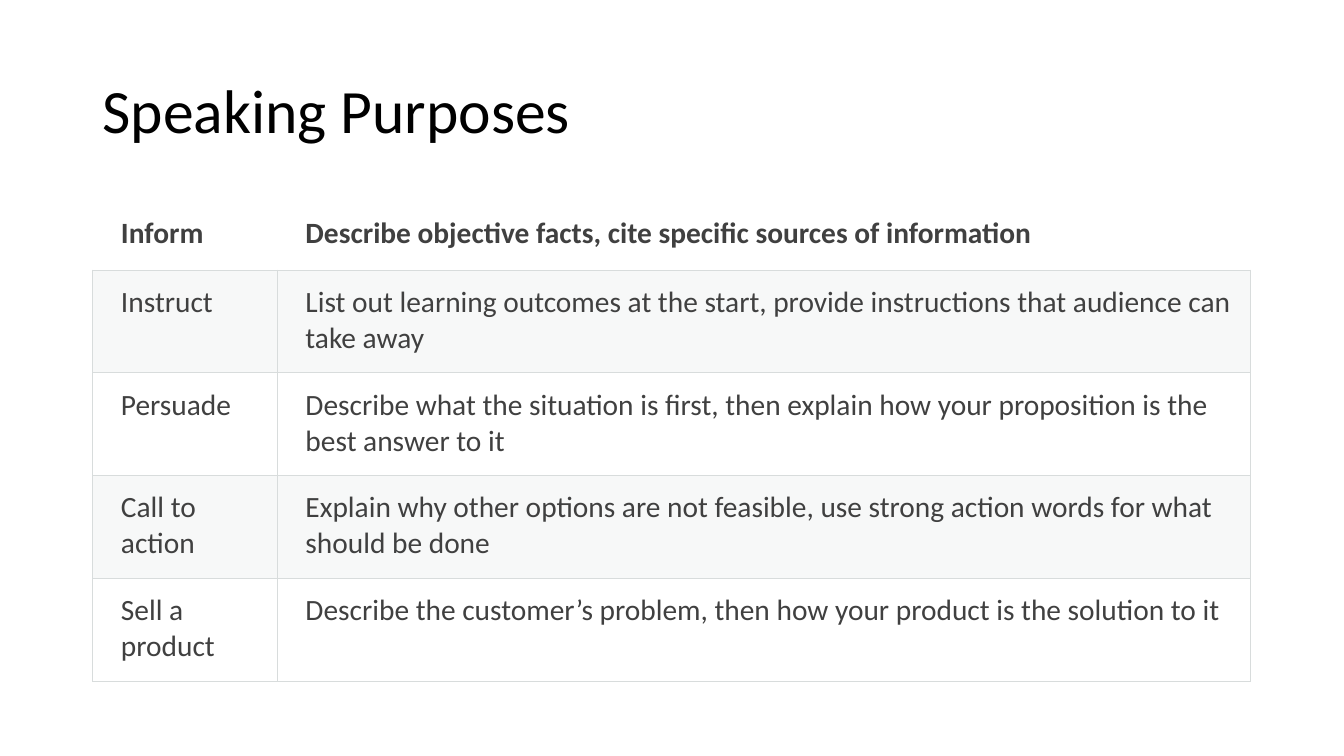
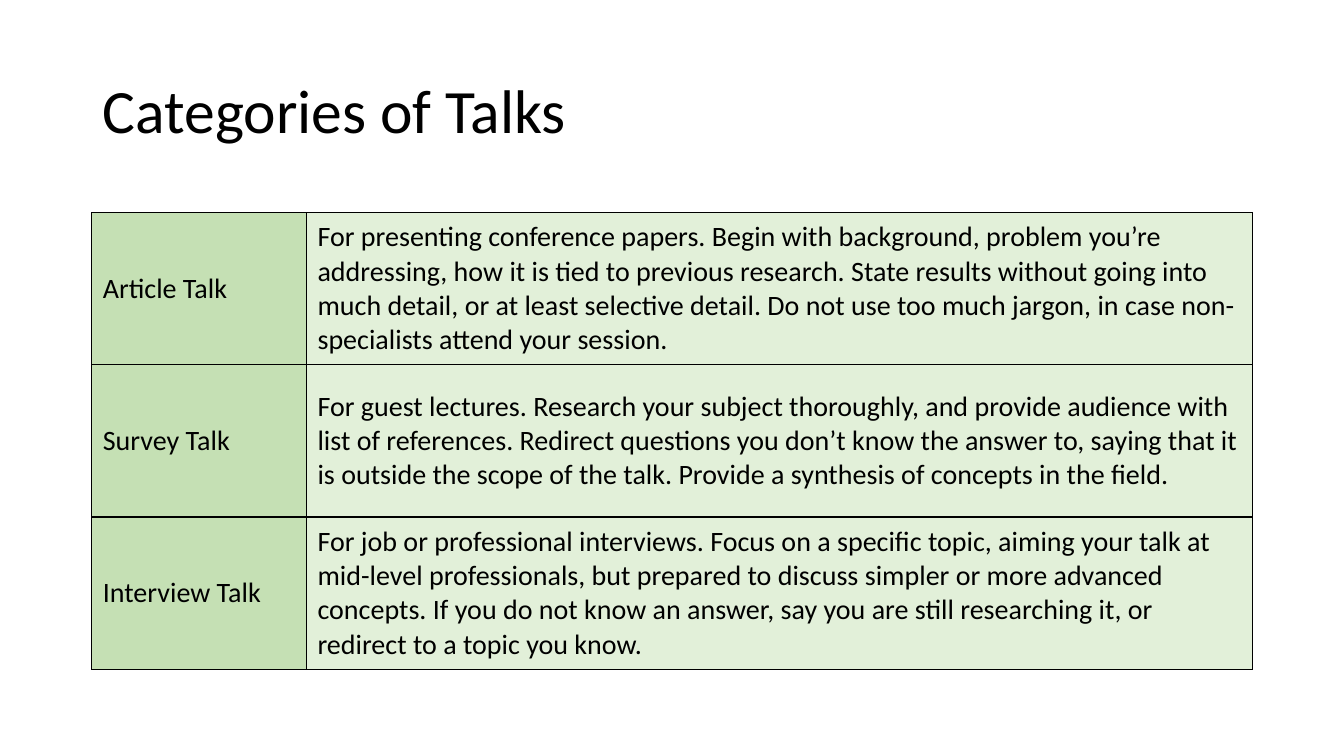
from dataclasses import dataclass

from lxml.etree import SubElement
from pptx import Presentation
from pptx.dml.color import RGBColor
from pptx.enum.text import MSO_ANCHOR
from pptx.oxml.ns import qn
from pptx.util import Inches, Pt


@dataclass(frozen=True)
class Theme:
    font: str = "Calibri"
    ink: str = "000000"
    gray_text: str = "404040"
    gray_line: str = "D8DCDC"
    gray_band: str = "D8DEDC"
    band_opacity: int = 20
    green_label: str = "C5E0B4"
    green_body: str = "E2F0D9"
    title_size: int = 44
    purpose_size: int = 21
    category_size: int = 20


THEME = Theme()


def add_titled_table(title, rows, left, top, widths, heights):
    """Add a slide with the shared title style and an unstyled table."""
    slide = deck.slides.add_slide(deck.slide_layouts[6])
    heading = slide.shapes.add_textbox(
        Inches(0.92), Inches(0.4), Inches(11.5), Inches(1.45)).text_frame
    heading.word_wrap = True
    heading.vertical_anchor = MSO_ANCHOR.MIDDLE
    heading.text = title
    heading.paragraphs[0].line_spacing = 0.9
    font = heading.paragraphs[0].runs[0].font
    font.name, font.size = THEME.font, Pt(THEME.title_size)
    font.color.rgb = RGBColor.from_string(THEME.ink)

    table = slide.shapes.add_table(
        len(rows), len(widths), Inches(left), Inches(top),
        Inches(sum(widths)), Inches(sum(heights))).table
    table.first_row = table.horz_banding = False
    for column, width in zip(table.columns, widths):
        column.width = Inches(width)
    for row, height in zip(table.rows, heights):
        row.height = Inches(height)
    return table


def style_cell(cell, text, size, color, insets, line, width, sides="LRTB",
               fill=None, opacity=100, bold=False):
    """Fill in one cell; sides names the edges that get a line."""
    cell.text = text
    font = cell.text_frame.paragraphs[0].runs[0].font
    font.name, font.size, font.bold = THEME.font, Pt(size), bold
    font.color.rgb = RGBColor.from_string(color)
    (cell.margin_left, cell.margin_top,
     cell.margin_right, cell.margin_bottom) = map(Inches, insets)

    properties = cell._tc.get_or_add_tcPr()
    for side in "LRTB":
        edge = SubElement(properties, qn(f"a:ln{side}"), w=str(Pt(width)))
        if side in sides:
            paint = SubElement(edge, qn("a:solidFill"))
            SubElement(paint, qn("a:srgbClr"), val=line)
        else:
            SubElement(edge, qn("a:noFill"))

    if fill is None:
        cell.fill.background()
        return
    cell.fill.solid()
    cell.fill.fore_color.rgb = RGBColor.from_string(fill)
    if opacity < 100:
        tint = properties.find(qn("a:solidFill")).find(qn("a:srgbClr"))
        SubElement(tint, qn("a:alpha"), val=str(opacity * 1000))


deck = Presentation()
deck.slide_width, deck.slide_height = Inches(13.33), Inches(7.5)

# Speaking purposes: open header row, then tinted and plain rows in turn
purposes = [
    ("Inform", "Describe objective facts, cite specific sources of information"),
    ("Instruct", "List out learning outcomes at the start, provide instructions "
                 "that audience can take away"),
    ("Persuade", "Describe what the situation is first, then explain how your "
                 "proposition is the best answer to it"),
    ("Call to action", "Explain why other options are not feasible, use strong "
                       "action words for what should be done"),
    ("Sell a product", "Describe the customer’s problem, then how your product "
                       "is the solution to it"),
]
purpose_table = add_titled_table(
    "Speaking Purposes", purposes, 0.92, 2, [1.83, 9.65], [0.68] + [1.02] * 4)
for r, purpose in enumerate(purposes):
    for c, text in enumerate(purpose):
        style_cell(purpose_table.cell(r, c), text, THEME.purpose_size,
                   THEME.gray_text, (0.28, 0.14, 0.14, 0.14),
                   THEME.gray_line, 0.75,
                   sides="B" if r == 0 else "LRTB",
                   fill=THEME.gray_band if r % 2 else None,
                   opacity=THEME.band_opacity, bold=r == 0)

# Categories of talks: darker label column, lighter descriptions
categories = [
    ("Article Talk",
     "For presenting conference papers. Begin with background, problem you’re "
     "addressing, how it is tied to previous research. State results without "
     "going into much detail, or at least selective detail. Do not use too much "
     "jargon, in case non-specialists attend your session."),
    ("Survey Talk",
     "For guest lectures. Research your subject thoroughly, and provide audience "
     "with list of references. Redirect questions you don’t know the answer to, "
     "saying that it is outside the scope of the talk. Provide a synthesis of "
     "concepts in the field."),
    ("Interview Talk",
     "For job or professional interviews. Focus on a specific topic, aiming your "
     "talk at mid-level professionals, but prepared to discuss simpler or more "
     "advanced concepts. If you do not know an answer, say you are still "
     "researching it, or redirect to a topic you know."),
]
category_table = add_titled_table(
    "Categories of Talks", categories, 0.91, 2.11, [2.13, 9.38], [1.51] * 3)
for r, category in enumerate(categories):
    for c, text in enumerate(category):
        cell = category_table.cell(r, c)
        style_cell(cell, text, THEME.category_size, THEME.ink,
                   (0.11, 0.06, 0.11, 0.06), THEME.ink, 1,
                   fill=(THEME.green_label, THEME.green_body)[c])
        cell.vertical_anchor = MSO_ANCHOR.MIDDLE

deck.save("out.pptx")
